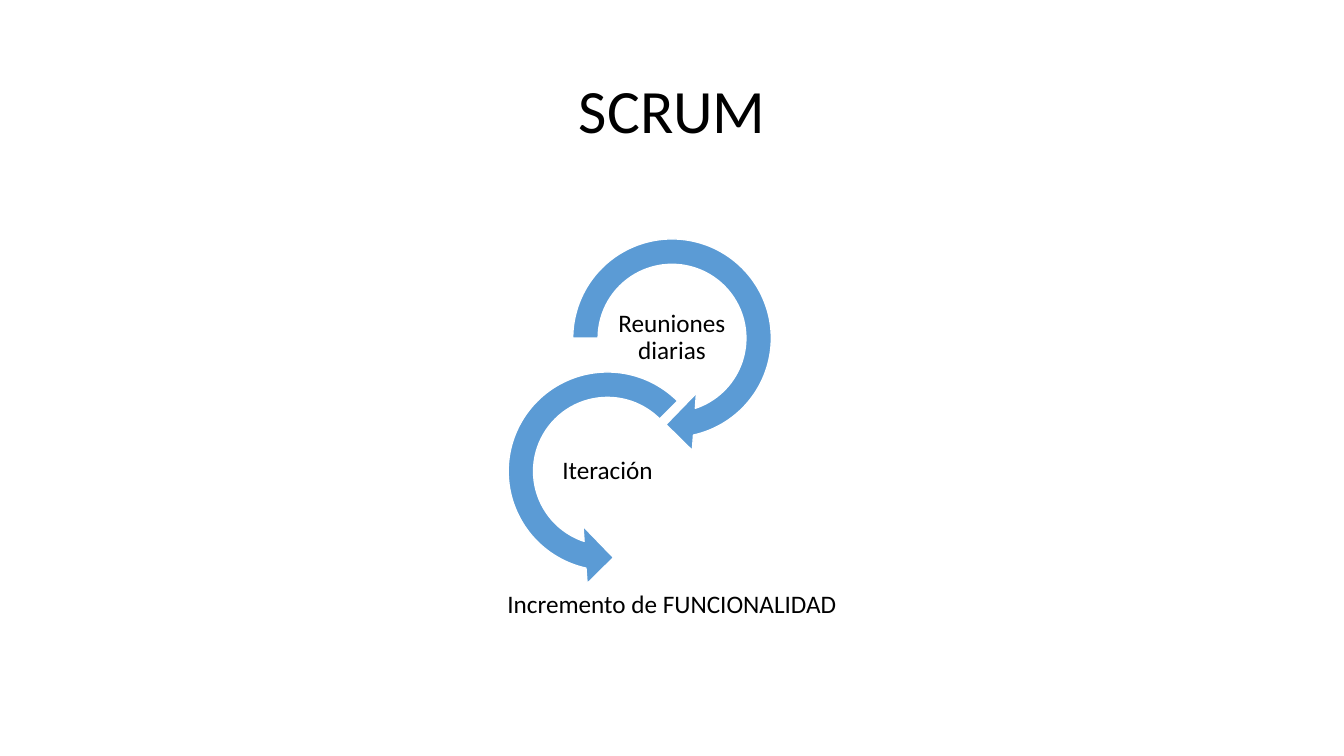
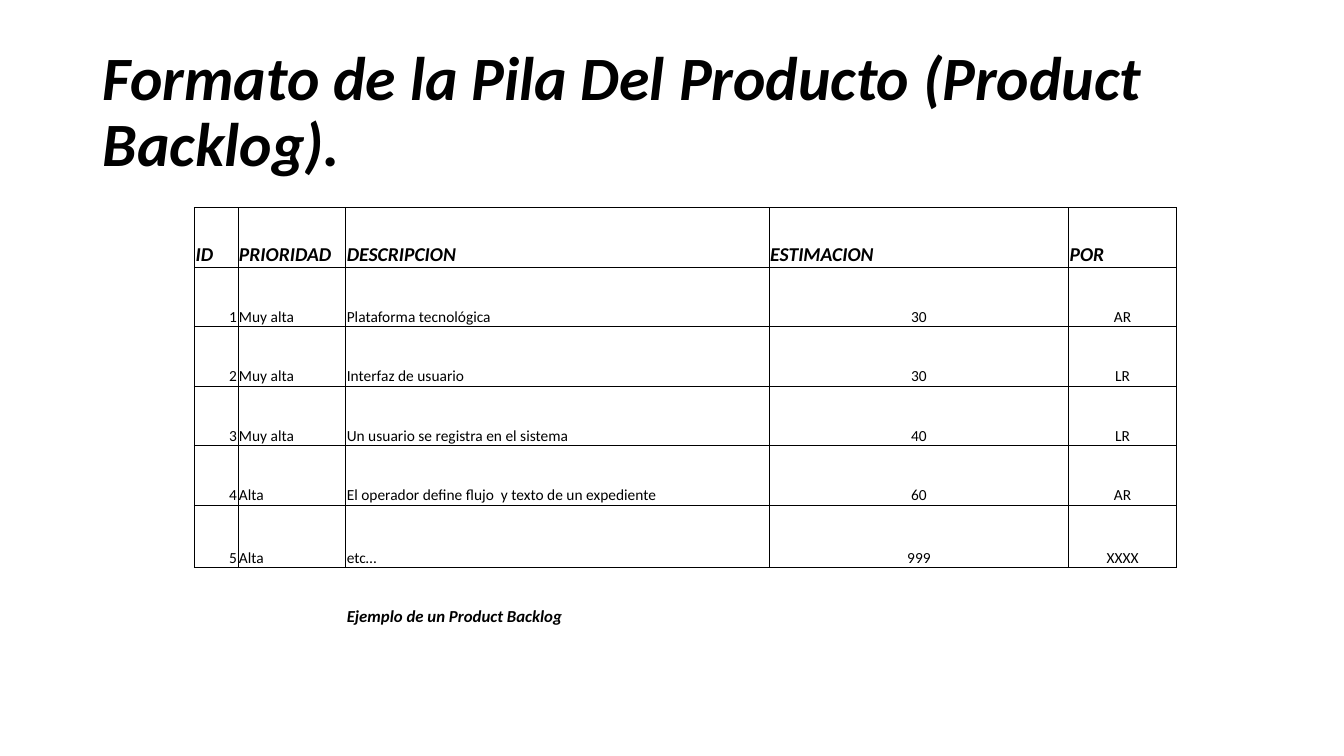
from lxml.etree import SubElement
from pptx import Presentation
from pptx.dml.color import RGBColor
from pptx.enum.shapes import MSO_SHAPE as Shape
from pptx.enum.text import MSO_ANCHOR as Anchor, MSO_AUTO_SIZE as AutoSize, PP_ALIGN as Align
from pptx.oxml.ns import qn
from pptx.util import Inches, Pt

BLACK = RGBColor(0, 0, 0)
WHITE = RGBColor(255, 255, 255)
BLUE = RGBColor(0x5B, 0x9B, 0xD5)
FONT = "Calibri"
PLAIN_TABLE = "{2D5ABB26-0587-4C30-8999-92F81FD0307C}"
INSET = Inches(0.01)
THIN, THICK = 0.5, 1

CYCLE_TITLE = "SCRUM"
RING_SIZE = 2.29
LABEL_SIZE = (1.27, 0.64)
CYCLES = [
    ("Reuniones diarias", Shape.CIRCULAR_ARROW, 5.52, 2.21, 45, 108),
    ("Iteración", Shape.LEFT_CIRCULAR_ARROW, 4.88, 3.53, 63, 189),
]
RESULT = ("Incremento de FUNCIONALIDAD", (4.38, 5.47, 4.57, 1.07))

BACKLOG_TITLE = "Formato de la Pila Del Producto (Product Backlog)."
HEADINGS = ["ID", "PRIORIDAD", "DESCRIPCION", "ESTIMACION", "POR"]
STORIES = [
    ("1", "Muy alta", "Plataforma tecnológica", "30", "AR"),
    ("2", "Muy alta", "Interfaz de usuario", "30", "LR"),
    ("3", "Muy alta", "Un usuario se registra en el sistema", "40", "LR"),
    ("4", "Alta", "El operador define flujo  y texto de un expediente", "60", "AR"),
    ("5", "Alta", "etc…", "999", "XXXX"),
]
CAPTION = ["", "", "Ejemplo de un Product Backlog", "", ""]
COLUMN_WIDTHS = [0.43, 1.07, 4.2, 2.97, 1.07]
ROW_HEIGHTS = [0.59] * 5 + [0.62, 0.59]
STORY_ALIGNS = [Align.RIGHT, Align.LEFT, Align.LEFT, Align.CENTER, Align.CENTER]


def write(frame, text, size=18, align=Align.LEFT, strong=False, spacing=None):
    paragraph = frame.paragraphs[0]
    paragraph.alignment = align
    paragraph.line_spacing = spacing
    run = paragraph.add_run()
    run.text = text
    font = run.font
    font.name, font.size = FONT, Pt(size)
    font.bold = font.italic = strong
    font.color.rgb = BLACK


def add_titled_slide(deck, text, **style):
    slide = deck.slides.add_slide(deck.slide_layouts[5])
    title = slide.shapes.title
    title.left, title.top, title.width, title.height = map(Inches, (0.92, 0.4, 11.5, 1.45))
    frame = title.text_frame
    frame.word_wrap, frame.auto_size = True, AutoSize.NONE
    frame.vertical_anchor = Anchor.MIDDLE
    write(frame, text, size=44, spacing=0.9, **style)
    return slide


def add_label(slide, text, box):
    frame = slide.shapes.add_textbox(*map(Inches, box)).text_frame
    frame.word_wrap = True
    frame.vertical_anchor = Anchor.MIDDLE
    frame.margin_left = frame.margin_right = frame.margin_top = frame.margin_bottom = INSET
    write(frame, text, align=Align.CENTER, spacing=0.9)


def add_cycle(slide, text, kind, left, top, end, start):
    ring = slide.shapes.add_shape(kind, *map(Inches, (left, top, RING_SIZE, RING_SIZE)))
    for index, value in enumerate((0.11, 11.42, end, start, 0.125)):
        ring.adjustments[index] = value
    ring.shadow.inherit = False
    ring.fill.solid()
    ring.fill.fore_color.rgb = BLUE
    ring.line.color.rgb = WHITE
    ring.line.width = Pt(1)
    width, height = LABEL_SIZE
    label_left = left + (RING_SIZE - width) / 2
    label_top = top + (RING_SIZE - height) / 2
    add_label(slide, text, (label_left, label_top, width, height))


def set_borders(cell, widths):
    properties = cell._tc.get_or_add_tcPr()
    for side in "LRTB":
        width = widths.get(side, 0)
        line = SubElement(properties, qn(f"a:ln{side}"), w=str(Pt(width)))
        if width:
            fill = SubElement(line, qn("a:solidFill"))
            SubElement(fill, qn("a:srgbClr"), val=str(BLACK))
        else:
            SubElement(line, qn("a:noFill"))


def cell_borders(row, column):
    last_story, last_column = len(STORIES), len(HEADINGS) - 1
    if row > last_story:
        return {"T": THICK}
    return {
        "L": THICK if column == 0 else THIN,
        "R": THICK if column == last_column else THIN,
        "T": THICK if row == 0 else THIN,
        "B": THICK if row == last_story else THIN,
    }


def add_backlog(slide):
    rows = [HEADINGS, *STORIES, CAPTION]
    box = (1.93, 2.06, sum(COLUMN_WIDTHS), sum(ROW_HEIGHTS))
    table = slide.shapes.add_table(len(rows), len(HEADINGS), *map(Inches, box)).table
    table._tbl.tblPr.find(qn("a:tableStyleId")).text = PLAIN_TABLE
    table.first_row = table.horz_banding = False
    for column, width in zip(table.columns, COLUMN_WIDTHS):
        column.width = Inches(width)
    for row, height in zip(table.rows, ROW_HEIGHTS):
        row.height = Inches(height)
    for r, texts in enumerate(rows):
        is_story = 0 < r <= len(STORIES)
        size = 11 if is_story else 14 if r == 0 else 12
        for c, text in enumerate(texts):
            cell = table.cell(r, c)
            cell.vertical_anchor = Anchor.BOTTOM
            cell.margin_left = cell.margin_right = cell.margin_top = INSET
            cell.margin_bottom = 0
            set_borders(cell, cell_borders(r, c))
            cell.fill.background()
            if text:
                align = STORY_ALIGNS[c] if is_story else Align.LEFT
                write(cell.text_frame, text, size=size, align=align, strong=not is_story)


def main():
    deck = Presentation()
    deck.slide_width, deck.slide_height = Inches(13.33), Inches(7.5)

    cycle_slide = add_titled_slide(deck, CYCLE_TITLE, align=Align.CENTER)
    for cycle in CYCLES:
        add_cycle(cycle_slide, *cycle)
    add_label(cycle_slide, *RESULT)

    backlog_slide = add_titled_slide(deck, BACKLOG_TITLE, strong=True)
    add_backlog(backlog_slide)

    deck.save("out.pptx")


if __name__ == "__main__":
    main()
